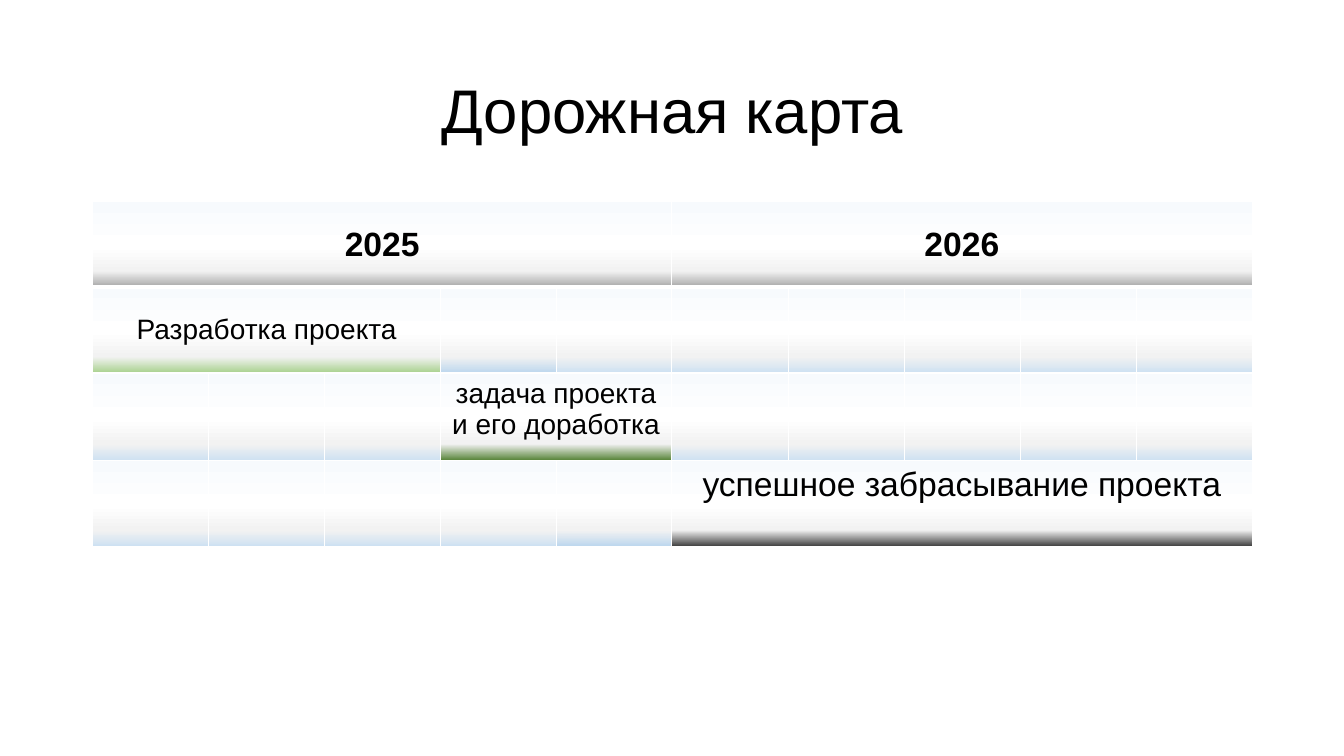
from dataclasses import dataclass

from lxml.etree import SubElement
from pptx import Presentation
from pptx.dml.color import RGBColor
from pptx.enum.text import MSO_ANCHOR as Anchor, PP_ALIGN as Align
from pptx.oxml.ns import qn
from pptx.slide import Slide
from pptx.table import Table, _Cell as Cell
from pptx.text.text import TextFrame
from pptx.util import Inches, Pt


@dataclass(frozen=True)
class Theme:
    font: str = "Arial"
    text: str = "000000"
    border: str = "FFFFFF"
    header: str = "A6A6A6"
    idle: str = "CEE1F2"
    accent: str = "BDD7EE"
    development: str = "A9D18E"
    refinement: str = "548235"
    completion: str = "404040"
    title_size: int = 44
    large_size: int = 24
    task_size: int = 20
    thin: float = 1
    thick: float = 3


@dataclass(frozen=True)
class Bar:
    text: str
    row: int
    column: int
    span: int
    color: str
    size: int
    bold: bool = False
    anchor: Anchor = Anchor.TOP
    spacing: float = 1.0


THEME = Theme()
COLUMN_WIDTHS = [1.15] * 4 + [1.14, 1.16] + [1.15] * 4
ROW_HEIGHTS = [0.85, 0.85, 0.87, 0.85]
GRADIENT_START = ((0, "F7FAFD"), (52, "FFFFFF"), (81, "F2F2F2"))
ACCENT_CELLS = {(1, 3), (3, 4)}
BARS = [
    *(Bar(year, 0, column, 5, THEME.header, THEME.large_size, True, Anchor.MIDDLE)
      for year, column in (("2025", 0), ("2026", 5))),
    Bar("Разработка проекта", 1, 0, 3, THEME.development, THEME.task_size, spacing=1.7),
    Bar("задача проекта\nи его доработка", 2, 3, 2, THEME.refinement, THEME.task_size),
    Bar("успешное забрасывание проекта", 3, 5, 5, THEME.completion, THEME.large_size),
]


def write_text(frame: TextFrame, text: str, size: int, bold: bool = False,
               spacing: float = 1.0) -> None:
    frame.text = text
    for para in frame.paragraphs:
        para.alignment = Align.CENTER
        para.line_spacing = spacing
        for span in para.runs:
            span.font.name = THEME.font
            span.font.size = Pt(size)
            span.font.bold = bold
            span.font.color.rgb = RGBColor.from_string(THEME.text)


def set_borders(cell: Cell, row: int) -> None:
    """Draw white borders, with a thick one between header and tasks."""
    widths = {
        "lnL": THEME.thin,
        "lnR": THEME.thin,
        "lnT": THEME.thick if row == 1 else THEME.thin,
        "lnB": THEME.thick if row == 0 else THEME.thin,
    }
    properties = cell._tc.get_or_add_tcPr()
    for tag, width in widths.items():
        line = SubElement(properties, qn(f"a:{tag}"), w=str(Pt(width)))
        fill = SubElement(line, qn("a:solidFill"))
        SubElement(fill, qn("a:srgbClr"), val=THEME.border)


def set_gradient(cell: Cell, color: str) -> None:
    """Fill downwards from near white to the given colour."""
    gradient = SubElement(cell._tc.get_or_add_tcPr(), qn("a:gradFill"), rotWithShape="1")
    stops = SubElement(gradient, qn("a:gsLst"))
    for position, shade in (*GRADIENT_START, (100, color)):
        stop = SubElement(stops, qn("a:gs"), pos=str(position * 1000))
        SubElement(stop, qn("a:srgbClr"), val=shade)
    SubElement(gradient, qn("a:lin"), ang=str(90 * 60000), scaled="0")


def add_title(page: Slide) -> None:
    box = page.shapes.add_textbox(Inches(0.92), Inches(0.4), Inches(11.5), Inches(1.45))
    frame = box.text_frame
    frame.word_wrap = True
    frame.vertical_anchor = Anchor.MIDDLE
    write_text(frame, "Дорожная карта", THEME.title_size, spacing=0.9)


def add_bar(table: Table, bar: Bar) -> None:
    cell = table.cell(bar.row, bar.column)
    cell.merge(table.cell(bar.row, bar.column + bar.span - 1))
    cell.vertical_anchor = bar.anchor
    write_text(cell.text_frame, bar.text, bar.size, bar.bold, bar.spacing)


def add_roadmap(page: Slide) -> None:
    table = page.shapes.add_table(
        len(ROW_HEIGHTS), len(COLUMN_WIDTHS), Inches(0.92), Inches(2),
        Inches(sum(COLUMN_WIDTHS)), Inches(sum(ROW_HEIGHTS)),
    ).table
    table.first_row = table.horz_banding = False
    for column, width in zip(table.columns, COLUMN_WIDTHS):
        column.width = Inches(width)
    for row, height in zip(table.rows, ROW_HEIGHTS):
        row.height = Inches(height)

    colors = {place: THEME.accent for place in ACCENT_CELLS}
    for bar in BARS:
        add_bar(table, bar)
        for offset in range(bar.span):
            colors[bar.row, bar.column + offset] = bar.color
    for row in range(len(ROW_HEIGHTS)):
        for column in range(len(COLUMN_WIDTHS)):
            cell = table.cell(row, column)
            set_borders(cell, row)
            set_gradient(cell, colors.get((row, column), THEME.idle))


def main() -> None:
    deck = Presentation()
    deck.slide_width, deck.slide_height = Inches(13.33), Inches(7.5)
    page = deck.slides.add_slide(deck.slide_layouts[6])
    add_title(page)
    add_roadmap(page)
    deck.save("out.pptx")


if __name__ == "__main__":
    main()
